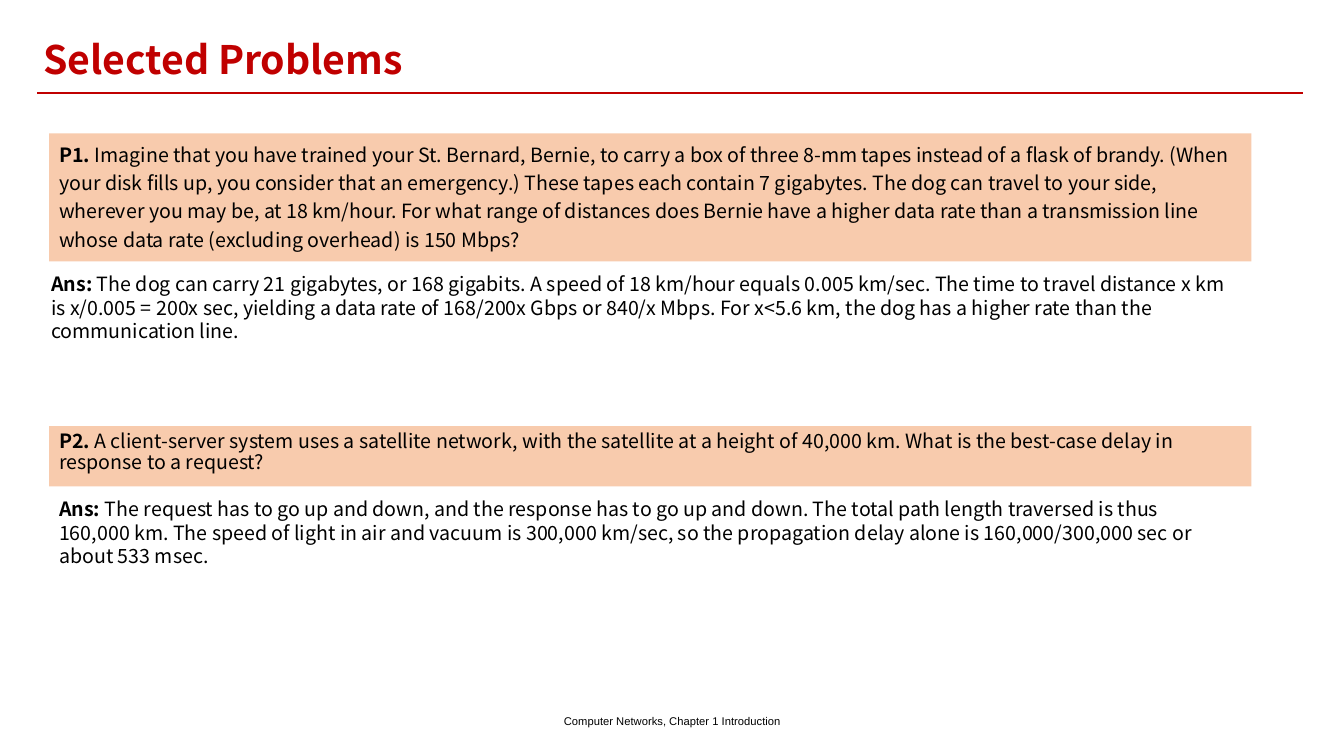
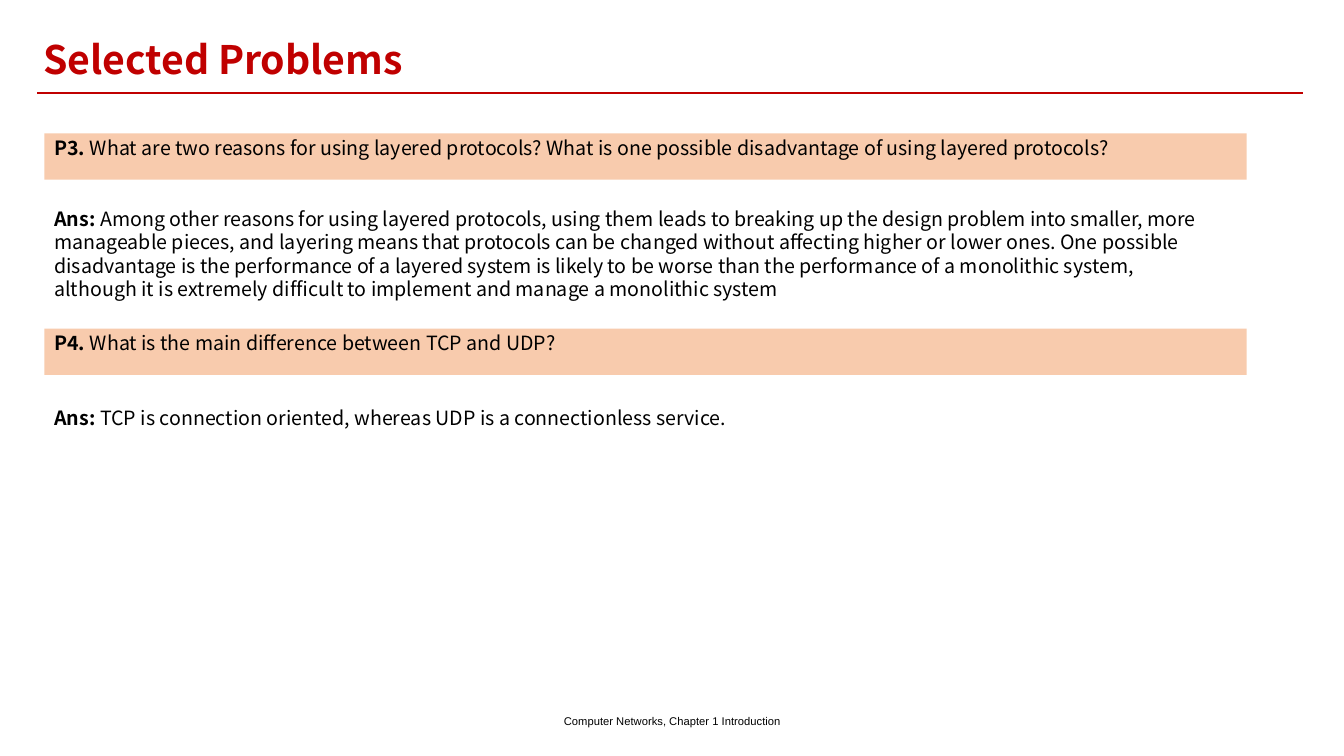
"""Build two slides of selected computer network problems with answers."""
from dataclasses import dataclass

import pptx
import pptx.dml.color
import pptx.enum.shapes
import pptx.enum.text
import pptx.oxml.ns
import pptx.presentation
import pptx.shapes.base
import pptx.slide
import pptx.util
from lxml import etree
from pptx.dml.color import RGBColor
from pptx.util import Cm


@dataclass(frozen=True)
class Theme:
    red: RGBColor = RGBColor(0xC0, 0x00, 0x00)
    peach: RGBColor = RGBColor(0xF8, 0xCB, 0xAD)
    black: RGBColor = RGBColor(0x00, 0x00, 0x00)
    white: RGBColor = RGBColor(0xFF, 0xFF, 0xFF)
    font: str = "Noto Sans CJK SC"
    footer_font: str = "Arial"
    title_size: int = 28
    body_size: int = 14
    footer_size: int = 8
    rule_width: float = 1.5


THEME = Theme()


@dataclass(frozen=True)
class Frame:
    left: float
    top: float
    width: float
    height: float

    def lengths(self) -> tuple[Cm, Cm, Cm, Cm]:
        return Cm(self.left), Cm(self.top), Cm(self.width), Cm(self.height)


@dataclass(frozen=True)
class Span:
    text: str
    size: int = THEME.body_size
    bold: bool = False
    color: RGBColor = THEME.black
    font: str = THEME.font


@dataclass(frozen=True)
class Problem:
    label: str
    question: str
    question_frame: Frame
    answer: str
    answer_frame: Frame
    line_spacing: float = 0.9


TITLE_FRAME = Frame(0.84, 0.76, 32.54, 1.45)
FOOTER_FRAME = Frame(11.23, 17.65, 11.43, 1.02)
RULE_LEFT, RULE_RIGHT, RULE_TOP = 0.94, 32.84, 2.34
BAND_WIDTH = 30.3
ANSWER_WIDTH = 29.79

PAGES = [
    [
        Problem(
            "P1. ",
            "Imagine that you have trained your St. Bernard, Bernie, to carry a box of three "
            "8-mm tapes instead of a flask of brandy. (When your disk fills up, you consider "
            "that an emergency.) These tapes each contain 7 gigabytes. The dog can travel to "
            "your side, wherever you may be, at 18 km/hour. For what range of distances does "
            "Bernie have a higher data rate than a transmission line whose data rate "
            "(excluding overhead) is 150 Mbps?",
            Frame(1.24, 3.36, BAND_WIDTH, 3.23),
            "The dog can carry 21 gigabytes, or 168 gigabits. A speed of 18 km/hour equals "
            "0.005 km/sec. The time to travel distance x km is x/0.005 = 200x sec, yielding "
            "a data rate of 168/200x Gbps or 840/x Mbps. For x<5.6 km, the dog has a higher "
            "rate than the communication line.",
            Frame(1.04, 6.73, 30.4, 2.06),
            line_spacing=1.2,
        ),
        Problem(
            "P2. ",
            "A client-server system uses a satellite network, with the satellite at a height "
            "of 40,000 km. What is the best-case delay in response to a request?",
            Frame(1.24, 10.74, BAND_WIDTH, 1.52),
            "The request has to go up and down, and the response has to go up and down. The "
            "total path length traversed is thus 160,000 km. The speed of light in air and "
            "vacuum is 300,000 km/sec, so the propagation delay alone is 160,000/300,000 sec "
            "or about 533 msec.",
            Frame(1.24, 12.4, ANSWER_WIDTH, 2.06),
        ),
    ],
    [
        Problem(
            "P3. ",
            "What are two reasons for using layered protocols? What is one possible "
            "disadvantage of using layered protocols?",
            Frame(1.12, 3.36, BAND_WIDTH, 1.17),
            "Among other reasons for using layered protocols, using them leads to breaking up "
            "the design problem into smaller, more manageable pieces, and layering means that "
            "protocols can be changed without affecting higher or lower ones. One possible "
            "disadvantage is the performance of a layered system is likely to be worse than "
            "the performance of a monolithic system, although it is extremely difﬁcult to "
            "implement and manage a monolithic system",
            Frame(1.12, 5.08, ANSWER_WIDTH, 2.64),
        ),
        Problem(
            "P4. ",
            "What is the main difference between TCP and UDP?",
            Frame(1.12, 8.28, BAND_WIDTH, 1.17),
            "TCP is connection oriented, whereas UDP is a connectionless service.",
            Frame(1.12, 10.11, ANSWER_WIDTH, 0.86),
        ),
    ],
]


def add_text(
    page: pptx.slide.Slide,
    frame: Frame,
    spans: list[Span],
    fill: RGBColor | None = None,
    line_spacing: float = 1.0,
    grow: bool = False,
) -> pptx.shapes.base.BaseShape:
    box = page.shapes.add_textbox(*frame.lengths())
    if fill is not None:
        box.fill.solid()
        box.fill.fore_color.rgb = fill
    box.text_frame.word_wrap = True
    if grow:
        box.text_frame.auto_size = pptx.enum.text.MSO_AUTO_SIZE.SHAPE_TO_FIT_TEXT
    para = box.text_frame.paragraphs[0]
    para.line_spacing = line_spacing
    for span in spans:
        run = para.add_run()
        run.text = span.text
        run.font.name = span.font
        run.font.size = pptx.util.Pt(span.size)
        run.font.bold = span.bold
        run.font.color.rgb = span.color
    return box


def add_rule(page: pptx.slide.Slide) -> None:
    rule = page.shapes.add_connector(
        pptx.enum.shapes.MSO_CONNECTOR.STRAIGHT,
        Cm(RULE_LEFT), Cm(RULE_TOP), Cm(RULE_RIGHT), Cm(RULE_TOP),
    )
    rule.line.color.rgb = THEME.red
    rule.line.width = pptx.util.Pt(THEME.rule_width)
    etree.SubElement(rule._element.spPr, pptx.oxml.ns.qn("a:effectLst"))


def add_footer(page: pptx.slide.Slide) -> None:
    span = Span(
        "Computer Networks, Chapter 1 Introduction",
        size=THEME.footer_size, font=THEME.footer_font,
    )
    box = add_text(page, FOOTER_FRAME, [span])
    box.text_frame.vertical_anchor = pptx.enum.text.MSO_ANCHOR.MIDDLE
    box.text_frame.paragraphs[0].alignment = pptx.enum.text.PP_ALIGN.CENTER


def add_problem(page: pptx.slide.Slide, problem: Problem) -> None:
    add_text(
        page, problem.question_frame,
        [Span(problem.label, bold=True), Span(problem.question)],
        fill=THEME.peach, line_spacing=problem.line_spacing,
    )
    add_text(
        page, problem.answer_frame,
        [Span("Ans: ", bold=True), Span(problem.answer)], grow=True,
    )


def add_page(deck: pptx.presentation.Presentation, problems: list[Problem]) -> None:
    page = deck.slides.add_slide(deck.slide_layouts[6])
    page.background.fill.solid()
    page.background.fill.fore_color.rgb = THEME.white
    add_rule(page)
    add_footer(page)
    title = Span("Selected Problems", size=THEME.title_size, bold=True, color=THEME.red)
    add_text(page, TITLE_FRAME, [title], fill=THEME.white, grow=True)
    for problem in problems:
        add_problem(page, problem)


def main() -> None:
    deck = pptx.Presentation()
    deck.slide_width, deck.slide_height = Cm(33.87), Cm(19.05)
    for problems in PAGES:
        add_page(deck, problems)
    deck.save("out.pptx")


if __name__ == "__main__":
    main()
